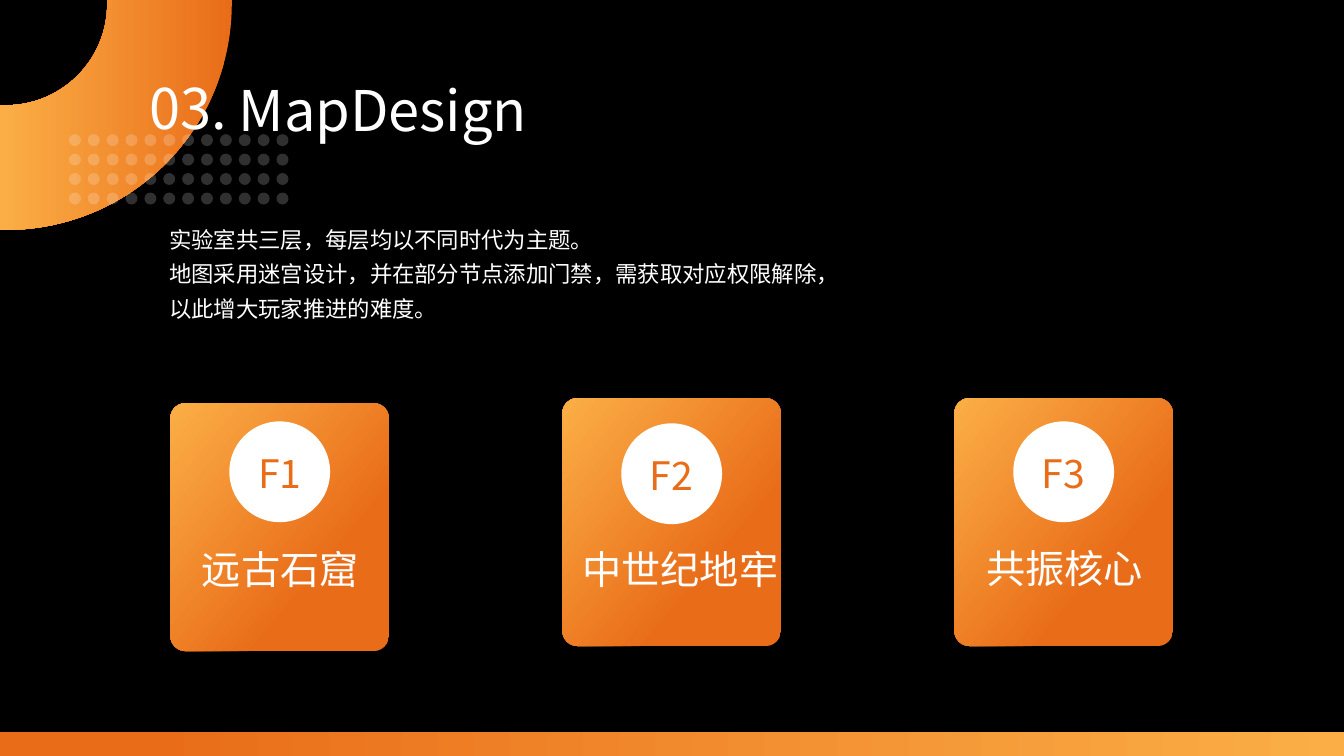
from math import cos, radians, sin

from lxml.etree import SubElement
from pptx import Presentation
from pptx.dml.color import RGBColor
from pptx.enum.shapes import MSO_SHAPE
from pptx.enum.text import MSO_AUTO_SIZE, PP_ALIGN
from pptx.oxml.ns import qn
from pptx.util import Pt

BLACK = RGBColor(0x00, 0x00, 0x00)
WHITE = RGBColor(0xFF, 0xFF, 0xFF)
ORANGE = RGBColor(0xE9, 0x6D, 0x19)
AMBER = RGBColor(0xFB, 0xAE, 0x46)
GOLD = RGBColor(0xFF, 0xC0, 0x00)
FONT = "Noto Sans CJK SC"

FLOOR_PITCH = 280
CARD_WIDTH, CARD_HEIGHT = 156.2, 177.1
BADGE_SIZE = 72
LABEL_WIDTH, LABEL_HEIGHT = 194.4, 41.2

# floor, name, card top, badge top, name left, name top
FLOORS = [
    ("F1", "远古石窟", 288, 301, 103, 385.9),
    ("F2", "中世纪地牢", 284.4, 302.4, 388.8, 385.9),
    ("F3", "共振核心", 284.4, 301, 663.1, 385.2),
]
INTRO = [
    "实验室共三层，每层均以不同时代为主题。",
    "地图采用迷宫设计，并在部分节点添加门禁，需获取对应权限解除，以此增大玩家推进的难度。",
]


def fill_gradient(fill, angle, start, end=AMBER, first=0):
    """Fill with a two-colour linear gradient at a counter-clockwise angle."""
    fill.gradient()
    fill.gradient_angle = angle
    for stop, color, position in zip(fill.gradient_stops, (start, end), (first, 1)):
        stop.color.rgb = color
        stop.position = position


def add_plain_shape(shapes, kind, left, top, width, height):
    """Add a preset shape without line or shadow."""
    shape = shapes.add_shape(kind, Pt(left), Pt(top), Pt(width), Pt(height))
    shape.shadow.inherit = False
    shape.line.fill.background()
    return shape


def add_circle(shapes, left, top, size, opacity=100):
    """Add a white circle with an opacity in percent."""
    circle = add_plain_shape(shapes, MSO_SHAPE.OVAL, left, top, size, size)
    circle.fill.solid()
    circle.fill.fore_color.rgb = WHITE
    if opacity < 100:
        color = circle._element.spPr.find(qn("a:solidFill")).find(qn("a:srgbClr"))
        SubElement(color, qn("a:alpha"), val=str(opacity * 1000))


def add_text(shapes, lines, left, top, width, height, size,
             align=PP_ALIGN.LEFT, spacing=None, gradient=False):
    """Add a text box with one paragraph per line."""
    box = shapes.add_textbox(Pt(left), Pt(top), Pt(width), Pt(height))
    frame = box.text_frame
    frame.word_wrap = True
    frame.auto_size = MSO_AUTO_SIZE.SHAPE_TO_FIT_TEXT
    frame.text = "\n".join(lines)
    for paragraph in frame.paragraphs:
        paragraph.alignment = align
        paragraph.line_spacing = spacing
        paragraph.font.size = Pt(size)
        paragraph.font.name = FONT
        if gradient:
            fill_gradient(paragraph.font.fill, 315, ORANGE, GOLD, 0.02)
        else:
            paragraph.font.color.rgb = WHITE
        defaults = paragraph._p.pPr.find(qn("a:defRPr"))
        SubElement(defaults, qn("a:ea"), typeface=FONT)


def add_corner_ring(shapes):
    """Add the quarter ring in the top left corner."""
    center_x, center_y, outer, inner = 4.3, 2.9, 161.3, 72.3

    def arc(radius, degrees):
        """List the points of an arc in points."""
        return [(center_x + radius * cos(radians(d)), center_y + radius * sin(radians(d)))
                for d in degrees]

    outline = [(center_x + outer, 0), *arc(outer, range(0, 91, 2)),
               (0, center_y + outer), (0, center_y + inner),
               *arc(inner, range(90, -1, -2))]
    builder = shapes.build_freeform(Pt(center_x + inner), 0)
    builder.add_line_segments([(Pt(x), Pt(y)) for x, y in outline], close=True)
    ring = builder.convert_to_shape()
    ring.shadow.inherit = False
    ring.line.fill.background()
    fill_gradient(ring.fill, 180, ORANGE)


def add_dot_grid(shapes):
    """Add the grouped grid of translucent dots."""
    dots = shapes.add_group_shape().shapes
    for row in range(4):
        for column in range(12):
            add_circle(dots, 49.2 + 13.48 * column, 95.8 + 13.9 * row, 8.6, opacity=19)


def add_card(shapes, left, top):
    """Add the rounded gradient card of a floor."""
    card = add_plain_shape(shapes, MSO_SHAPE.ROUNDED_RECTANGLE,
                           left, top, CARD_WIDTH, CARD_HEIGHT)
    card.adjustments[0] = 0.07
    fill_gradient(card.fill, 140, ORANGE, first=0.31)


def add_badge(shapes, floor, left, top):
    """Add a grouped white circle with its floor number."""
    badge = shapes.add_group_shape().shapes
    add_circle(badge, left, top, BADGE_SIZE)
    add_text(badge, [floor], left + (BADGE_SIZE - LABEL_WIDTH) / 2, top + 16.6,
             LABEL_WIDTH, LABEL_HEIGHT, 28, PP_ALIGN.CENTER, gradient=True)


def main():
    """Build the map design slide."""
    deck = Presentation()
    deck.slide_width, deck.slide_height = Pt(960), Pt(540)
    slide = deck.slides.add_slide(deck.slide_layouts[6])
    slide.background.fill.solid()
    slide.background.fill.fore_color.rgb = BLACK
    shapes = slide.shapes

    add_corner_ring(shapes)
    footer = add_plain_shape(shapes, MSO_SHAPE.RECTANGLE, 0, 523.2, 960, 18)
    fill_gradient(footer.fill, 0, ORANGE, first=0.11)
    add_dot_grid(shapes)

    add_text(shapes, ["MapDesign"], 163.4, 50.4, 300, 55.4, 40)
    add_text(shapes, ["03."], 100, 49, 82.8, 47.5, 40)
    for index, (floor, name, card_top, badge_top, name_left, name_top) in enumerate(FLOORS):
        card_left = 121.7 + FLOOR_PITCH * index
        add_card(shapes, card_left, card_top)
        add_badge(shapes, floor, card_left + (CARD_WIDTH - BADGE_SIZE) / 2, badge_top)
        add_text(shapes, [name], name_left, name_top,
                 LABEL_WIDTH, LABEL_HEIGHT, 28, PP_ALIGN.CENTER)
    add_text(shapes, INTRO, 113.8, 151.9, 480.2, 80.6, 16, spacing=1.3)

    deck.save("out.pptx")


if __name__ == "__main__":
    main()
